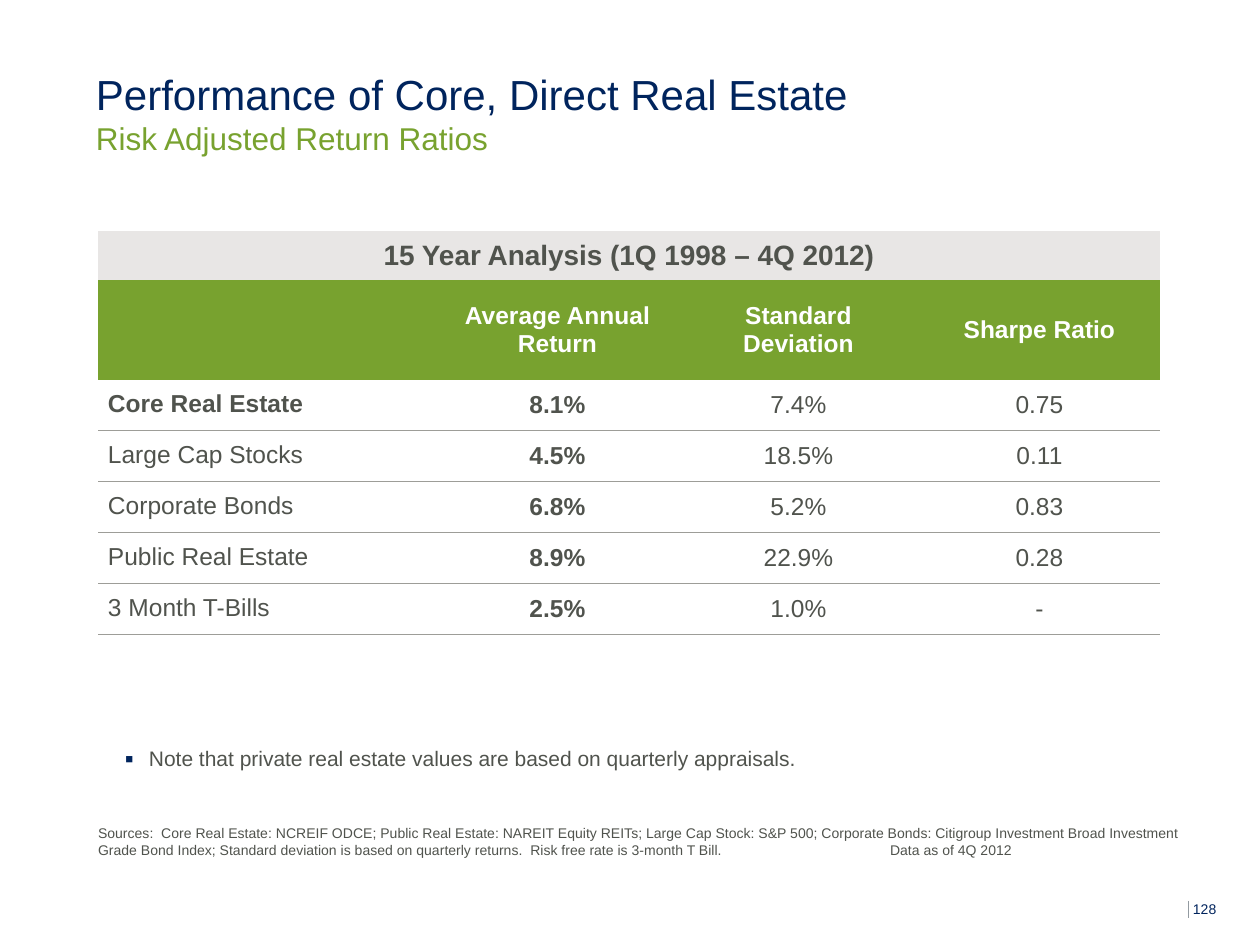
from lxml import etree
from pptx import Presentation, util as u
from pptx.dml.color import RGBColor
from pptx.enum import shapes, text
from pptx.oxml import parse_xml
from pptx.oxml.ns import qn

NAVY = RGBColor(0x00, 0x24, 0x5D)
GREEN = RGBColor(0x78, 0xA2, 0x2F)
GRAY = RGBColor(0x50, 0x53, 0x4D)
PALE = RGBColor(0xE8, 0xE6, 0xE5)
RULE = RGBColor(0x9D, 0x9D, 0x98)
EDGE = RGBColor(0x93, 0x9B, 0xA1)
WHITE = RGBColor(0xFF, 0xFF, 0xFF)

NS = 'xmlns:a="http://schemas.openxmlformats.org/drawingml/2006/main"'
PLAIN = "{2D5ABB26-0587-4C30-8999-92F81FD0307C}"
LEFT, MID = text.PP_ALIGN.LEFT, text.PP_ALIGN.CENTER
TOP, LOW = text.MSO_ANCHOR.TOP, text.MSO_ANCHOR.BOTTOM

HEADS = ["", "Average Annual Return", "Standard Deviation", "Sharpe Ratio"]
ROWS = [
    ["Core Real Estate", "8.1%", "7.4%", "0.75"],
    ["Large Cap Stocks", "4.5%", "18.5%", "0.11"],
    ["Corporate Bonds", "6.8%", "5.2%", "0.83"],
    ["Public Real Estate", "8.9%", "22.9%", "0.28"],
    ["3 Month T-Bills", "2.5%", "1.0%", "-"],
]


def px(n):
    """Turn px into EMU."""
    return u.Emu(round(n * 914400 / 126))


def put(obj, **vals):
    """Set each named value on an object."""
    for key, val in vals.items():
        setattr(obj, key, val)


def style(font, size, tint, bold=False):
    """Set the face, size, weight and colour of a font."""
    put(font, name="Arial", size=u.Pt(size), bold=bold)
    font.color.rgb = tint


def pad(obj, left, top, right, low):
    """Set the four margins of a frame or cell."""
    put(obj, margin_left=px(left), margin_top=px(top),
        margin_right=px(right), margin_bottom=px(low))


def frame(slide, box, ins=(0, 0, 0, 0), anchor=TOP):
    """Add a wrapped text box and return its frame."""
    body = slide.shapes.add_textbox(*map(px, box)).text_frame
    put(body, word_wrap=True, vertical_anchor=anchor)
    pad(body, *ins)
    return body


def title(slide, box):
    """Place the title and its subtitle."""
    para = frame(slide, box, anchor=LOW).paragraphs[0]
    head = para.add_run()
    head.text = "Performance of Core, Direct Real Estate"
    style(head.font, 24, NAVY)
    para.add_line_break()
    sub = para.add_run()
    sub.text = "Risk Adjusted Return Ratios"
    style(sub.font, 18, GREEN)


def fill(cell, words, size, tint, bold, back, align=MID, ins=(10, 6, 10, 6)):
    """Write and colour one table cell."""
    cell.text = words
    cell.vertical_anchor = text.MSO_ANCHOR.MIDDLE
    pad(cell, *ins)
    cell.fill.solid()
    cell.fill.fore_color.rgb = back
    para = cell.text_frame.paragraphs[0]
    para.alignment = align
    style(para.font, size, tint, bold)


def rule(cell):
    """Draw the line under a cell."""
    line = parse_xml(f'<a:lnB {NS} w="9525"><a:solidFill>'
                     f'<a:srgbClr val="{RULE}"/></a:solidFill></a:lnB>')
    cell._tc.get_or_add_tcPr().insert(0, line)


def ratios(slide, box):
    """Place the table of returns and ratios."""
    wides = [339] + [241] * 3
    highs = [49, 100] + [51] * len(ROWS)
    grid = slide.shapes.add_table(len(highs), len(wides), *map(px, box)).table
    put(grid, first_row=False, horz_banding=False)
    grid._tbl.tblPr.find(qn("a:tableStyleId")).text = PLAIN
    for col, wide in zip(grid.columns, wides):
        col.width = px(wide)
    for row, high in zip(grid.rows, highs):
        row.height = px(high)
    grid.cell(0, 0).merge(grid.cell(0, 3))
    fill(grid.cell(0, 0), "15 Year Analysis (1Q 1998 – 4Q 2012)",
         16, GRAY, True, PALE)
    for c, words in enumerate(HEADS):
        fill(grid.cell(1, c), words, 14, WHITE, True, GREEN)
    for r, row in enumerate(ROWS):
        for c, words in enumerate(row):
            cell = grid.cell(r + 2, c)
            bold = c == 1 or (r == 0 and c == 0)
            if c:
                fill(cell, words, 14, GRAY, bold, WHITE, ins=(0, 0, 0, 0))
            else:
                fill(cell, words, 14, GRAY, bold, WHITE, LEFT)
                cell.text_frame.paragraphs[0].line_spacing = 0.9
            rule(cell)


def note(slide, box):
    """Place the bulleted note."""
    para = frame(slide, box, (0, 0, 10, 6)).paragraphs[0]
    para.text = "Note that private real estate values are based on quarterly appraisals."
    props = para._p.get_or_add_pPr()
    props.set("marL", str(px(24)))
    props.set("indent", str(px(-24)))
    for part in (f'<a:buClr {NS}><a:srgbClr val="{NAVY}"/></a:buClr>',
                 f'<a:buSzPct {NS} val="120000"/>',
                 f'<a:buFont {NS} typeface="Arial"/>',
                 f'<a:buChar {NS} char="▪"/>'):
        props.append(parse_xml(part))
    style(para.font, 12, GRAY)


def source(slide, box):
    """Place the source line with its tabbed date."""
    para = frame(slide, box, (0, 5, 5, 5), LOW).paragraphs[0]
    run = para.add_run()
    run.text = (
        "Sources:  Core Real Estate: NCREIF ODCE; Public Real Estate: NAREIT "
        "Equity REITs; Large Cap Stock: S&P 500; Corporate Bonds: Citigroup "
        "Investment Broad Investment Grade Bond Index; Standard deviation is "
        "based on quarterly returns.  Risk free rate is 3-month T Bill."
        "\t\tData as of 4Q 2012")
    tabs = etree.SubElement(para._p.get_or_add_pPr(), qn("a:tabLst"))
    for stop in (660, 792):
        etree.SubElement(tabs, qn("a:tab"), pos=str(px(stop)), algn="l")
    style(run.font, 8, GRAY)


def folio(slide, box):
    """Place the page number and the line beside it."""
    left, top, wide, high = box
    line = slide.shapes.add_connector(
        shapes.MSO_CONNECTOR.STRAIGHT,
        *map(px, (left, top, left, top + 17)))
    line.line.width = u.Pt(0.5)
    line.line.color.rgb = EDGE
    etree.SubElement(line._element.spPr, qn("a:effectLst"))
    para = frame(slide, (left + 5, top, wide - 5, high)).paragraphs[0]
    para.text = "128"
    style(para.font, 8, NAVY)


def main():
    """Build and save the slide."""
    deck = Presentation()
    put(deck, slide_width=px(1260), slide_height=px(945))
    slide = deck.slides.add_slide(deck.slide_layouts[6])
    folio(slide, (1188, 901, 55, 26))
    title(slide, (96, 32, 1061, 125))
    ratios(slide, (98, 231, 1062, 404))
    source(slide, (98, 819, 1105, 44))
    note(slide, (125, 746, 1061, 48))
    deck.save("out.pptx")


if __name__ == "__main__":
    main()
